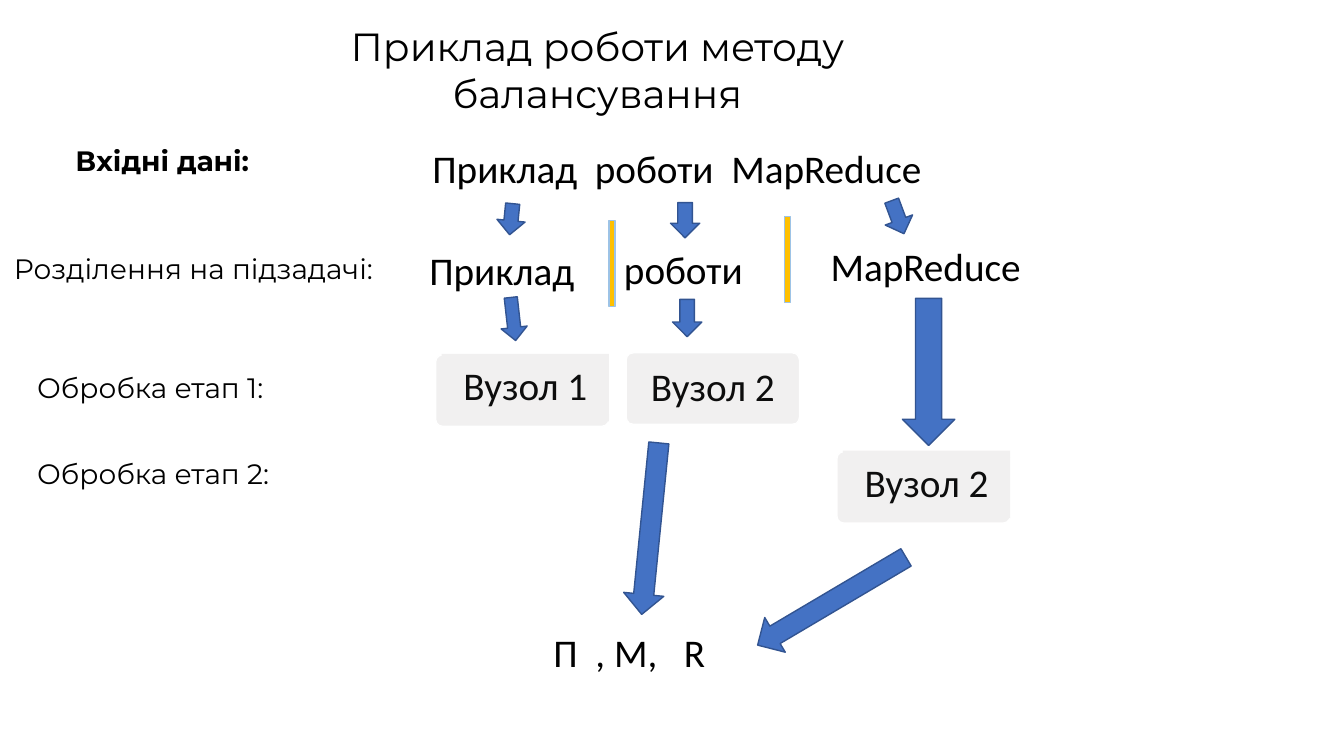
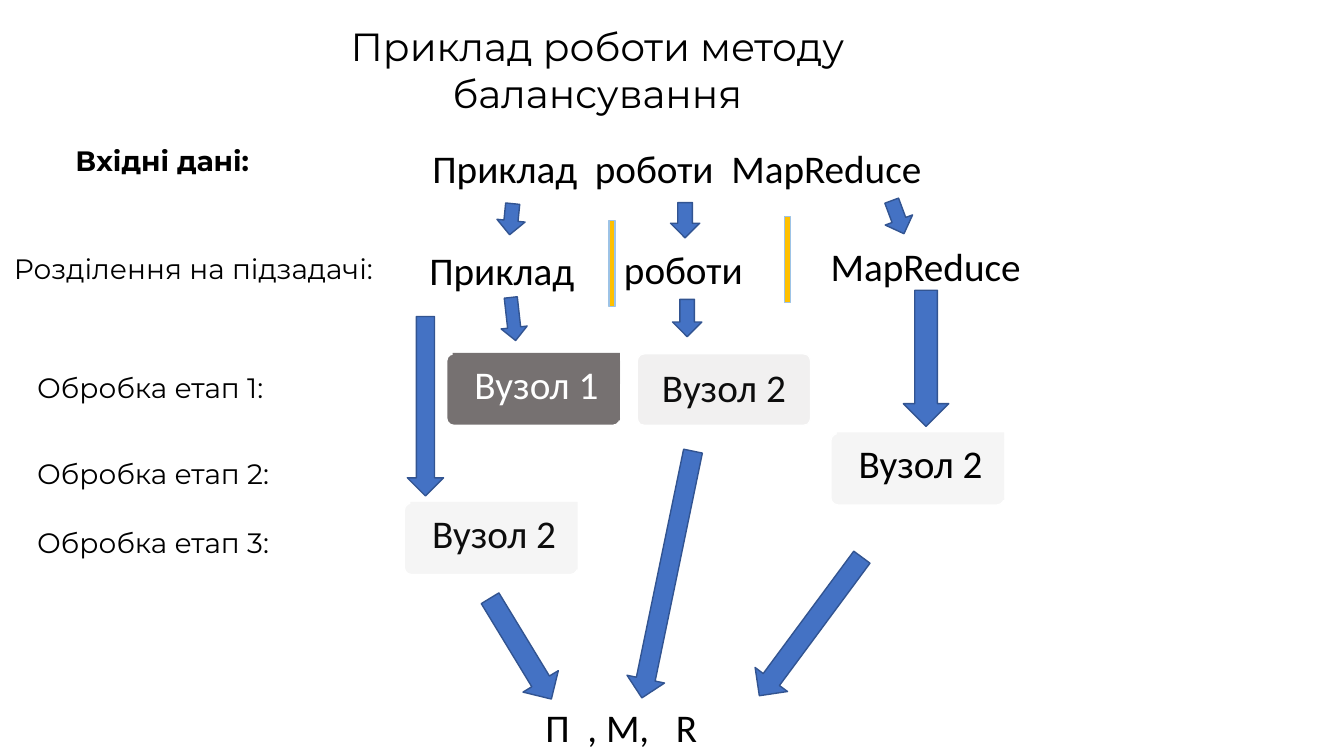
from pptx import Presentation
from pptx import util as u
from pptx.dml.color import RGBColor
from pptx.enum import shapes, text

BLACK = RGBColor(0x00, 0x00, 0x00)
WHITE = RGBColor(0xFF, 0xFF, 0xFF)
INK = RGBColor(0x0D, 0x0D, 0x0D)
BLUE = RGBColor(0x44, 0x72, 0xC4)
BLUE_EDGE = RGBColor(0x32, 0x54, 0x91)
GOLD = RGBColor(0xFF, 0xC0, 0x00)
GOLD_EDGE = RGBColor(0x9D, 0xC3, 0xE6)
GREY = RGBColor(0xF1, 0xF0, 0xF0)
PALE = RGBColor(0xF5, 0xF5, 0xF5)
DARK = RGBColor(0x76, 0x71, 0x71)

HEADING, PLAIN = "Montserrat", "Calibri"
SCALE = 9144  # EMU in one px, 100 px to the inch
TITLE_ONLY = 5
SHAPE = shapes.MSO_SHAPE


def px(*lengths):
    return [u.Emu(length * SCALE) for length in lengths]


def write(frame, words, font=PLAIN, size=28, color=BLACK, bold=False,
          align=text.PP_ALIGN.LEFT, anchor=text.MSO_ANCHOR.TOP,
          margins=(10, 5, 10, 5), spacing=1.0):
    """Put one formatted paragraph into a text frame."""
    frame.word_wrap = True
    frame.auto_size = text.MSO_AUTO_SIZE.NONE
    frame.vertical_anchor = anchor
    (frame.margin_left, frame.margin_top,
     frame.margin_right, frame.margin_bottom) = px(*margins)
    para = frame.paragraphs[0]
    para.alignment, para.line_spacing = align, spacing
    para.space_before = u.Pt(0)
    span = para.add_run()
    span.text = words
    span.font.name, span.font.size = font, u.Pt(size)
    span.font.bold, span.font.color.rgb = bold, color


class Deck:
    """Style of the presentation and the slide being built."""

    def __init__(self):
        self.deck = Presentation()
        self.deck.slide_width, self.deck.slide_height = px(1333, 750)
        self.page = None

    def new_page(self, title):
        layout = self.deck.slide_layouts[TITLE_ONLY]
        self.page = self.deck.slides.add_slide(layout)
        box = self.page.shapes.title
        box.left, box.top, box.width, box.height = px(265, 17, 655, 104)
        write(box.text_frame, title, font=HEADING,
              align=text.PP_ALIGN.CENTER)

    def words(self, words, left, top, width=205):
        box = self.page.shapes.add_textbox(*px(left, top, width, 57))
        write(box.text_frame, words)

    def row_label(self, words, left, top, width=377, bold=False):
        box = self.page.shapes.add_textbox(*px(left, top, width, 44))
        write(box.text_frame, words, font=HEADING, size=20, bold=bold)

    def shape(self, kind, place, fill, edge=None):
        shape = self.page.shapes.add_shape(kind, *px(*place))
        shape.shadow.inherit = False
        shape.fill.solid()
        shape.fill.fore_color.rgb = fill
        if edge is None:
            shape.line.fill.background()
        else:
            shape.line.color.rgb = edge
            shape.line.width = u.Pt(1)
        return shape

    def divider(self, left, top):
        self.shape(SHAPE.RECTANGLE, (left, top, 6, 85), GOLD, GOLD_EDGE)

    def arrow(self, left, top, width, height, turn=0):
        place = (left, top, width, height)
        arrow = self.shape(SHAPE.DOWN_ARROW, place, BLUE, BLUE_EDGE)
        arrow.rotation = turn

    def node(self, words, left, top, shift=(6, -1), fill=GREY, color=INK):
        """A rounded plate under a label that is shifted against it."""
        plate = self.shape(SHAPE.ROUNDED_RECTANGLE, (left, top, 172, 71),
                           fill, WHITE)
        plate.adjustments[0] = 0.1
        place = (left + shift[0], top + shift[1], 166, 67)
        label = self.shape(SHAPE.RECTANGLE, place, fill)
        write(label.text_frame, words, color=color, spacing=0.9,
              align=text.PP_ALIGN.CENTER, anchor=text.MSO_ANCHOR.MIDDLE,
              margins=(12, 12, 12, 12))

    def splitting_page(self):
        """Title, row labels and the splitting step both slides show."""
        self.new_page("Приклад роботи методу балансування")
        self.row_label("Вхідні дані:", 65, 137, width=211, bold=True)
        self.row_label("Розділення на підзадачі:", 4, 245, width=518)
        self.row_label("Обробка етап 1:", 27, 363)
        self.row_label("Обробка етап 2:", 27, 448)
        self.words("Приклад  роботи  MapReduce", 419, 138, width=979 - 65)
        self.divider(604, 219)
        self.divider(778, 215)
        for word, left, top, width in (("Приклад", 416, 239, 205),
                                       ("роботи", 609, 238, 205),
                                       ("MapReduce", 814, 235, 290)):
            self.words(word, left, top, width)
        # Input to subtasks, then subtasks to the first two nodes
        self.arrow(493, 202, 28, 31, turn=5.7)
        self.arrow(665, 201, 29, 35)
        self.arrow(876, 198, 29, 35, turn=339.6)
        self.arrow(496, 295, 26, 43, turn=353.6)
        self.arrow(667, 297, 29, 37)

    def result(self, left, top):
        self.words("П  , M,   R", left, top, width=565)

    def save(self):
        self.deck.save("out.pptx")


def main():
    deck = Deck()

    # Slide 1: both nodes work
    deck.splitting_page()
    deck.arrow(895, 296, 52, 146)
    deck.node("Вузол 2", 621, 350, shift=(3, 2))
    deck.node("Вузол 2", 830, 448)
    deck.node("Вузол 1", 432, 352)
    deck.arrow(625, 439, 40, 171, turn=5.7)
    deck.arrow(805, 511, 40, 171, turn=59.4)
    deck.result(539, 618)

    # Slide 2: node 1 is out, a third stage takes over its work
    deck.splitting_page()
    deck.row_label("Обробка етап 3:", 27, 516)
    deck.arrow(896, 288, 45, 135)
    deck.node("Вузол 2", 632, 351, shift=(3, 2))
    deck.node("Вузол 2", 824, 430, fill=PALE, color=BLACK)
    deck.node("Вузол 1", 443, 351, fill=DARK, color=WHITE)
    deck.node("Вузол 2", 401, 499, fill=PALE)
    deck.arrow(404, 314, 36, 178)
    deck.arrow(643, 445, 38, 250, turn=11.7)
    deck.arrow(784, 536, 40, 171, turn=36.5)
    deck.arrow(496, 585, 41, 117, turn=328.7)
    deck.result(531, 693)

    deck.save()


if __name__ == "__main__":
    main()
